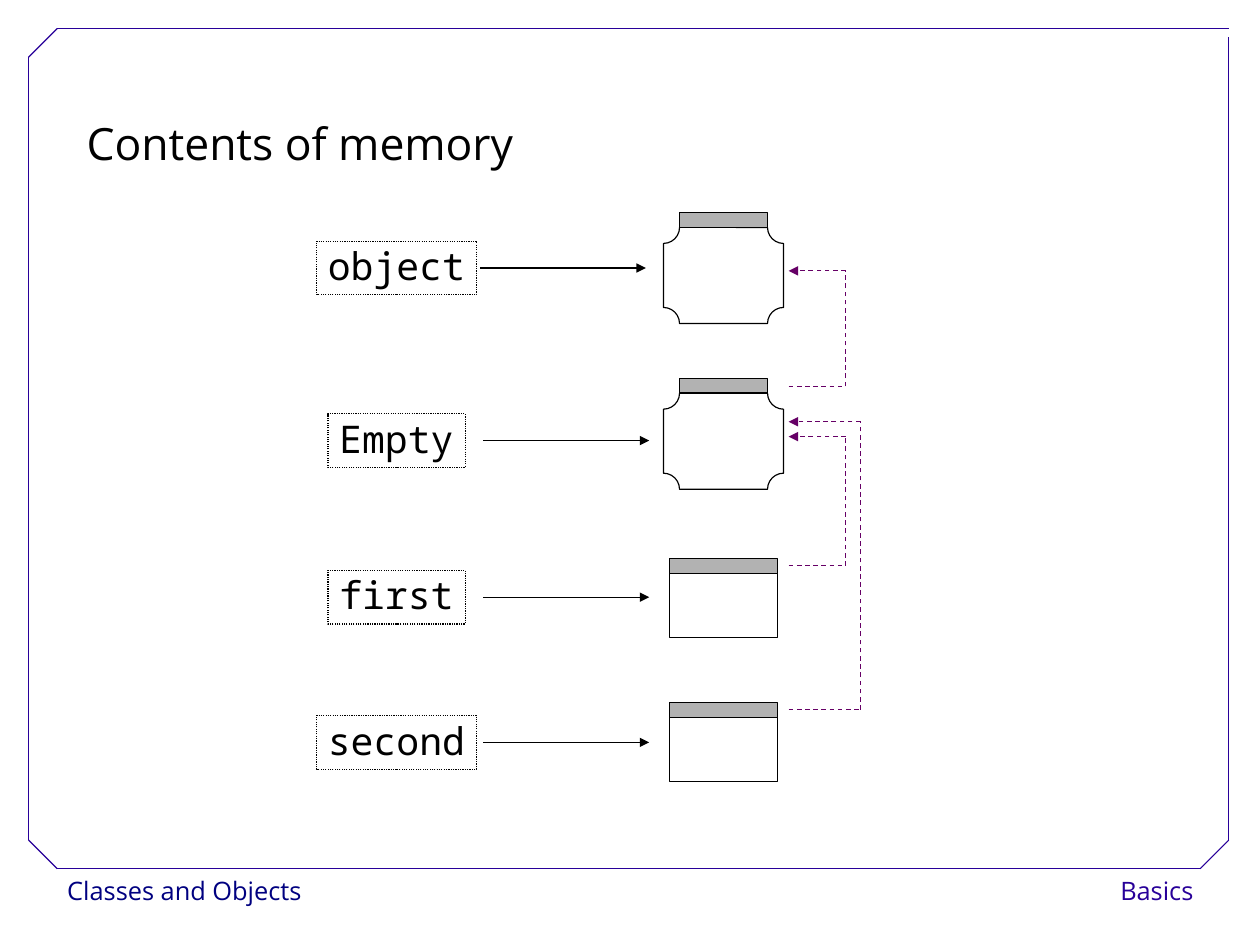
from itertools import pairwise

from lxml import etree
from pptx import Presentation
from pptx.dml.color import RGBColor
from pptx.enum.dml import MSO_LINE
from pptx.enum.shapes import MSO_CONNECTOR, MSO_SHAPE
from pptx.enum.text import MSO_ANCHOR, PP_ALIGN
from pptx.oxml.ns import qn
from pptx.util import Inches, Pt

STRAIGHT = MSO_CONNECTOR.STRAIGHT
RECT, PLAQUE = MSO_SHAPE.RECTANGLE, MSO_SHAPE.PLAQUE
DOT, DASH = MSO_LINE.ROUND_DOT, MSO_LINE.DASH
TOP, MIDDLE = MSO_ANCHOR.TOP, MSO_ANCHOR.MIDDLE
LEFT, RIGHT = PP_ALIGN.LEFT, PP_ALIGN.RIGHT
SANS, MONO = "Open Sans", "Noto Sans Mono"
COLORS = {"ink": "000000", "frame": "280099", "navy": "000080",
          "bar": "B2B2B2", "link": "660066"}


def color(name):
    """Return the named colour."""
    return RGBColor.from_string(COLORS[name])


def add_line(s, start, end, name, arrow=False, dash=None):
    """Draw a straight line, with an arrowhead at its end if asked."""
    c = s.shapes.add_connector(STRAIGHT, *map(Inches, start + end))
    c.line.color.rgb = color(name)
    c.line.width = Pt(0.75)
    if dash:
        c.line.dash_style = dash
    if arrow:
        ln = c.element.spPr.find(qn("a:ln"))
        etree.SubElement(ln, qn("a:tailEnd"), type="triangle")
    etree.SubElement(c.element.spPr, qn("a:effectLst"))


def add_box(s, kind, box, fill=None, dash=None):
    """Draw an outlined shape."""
    sp = s.shapes.add_shape(kind, *map(Inches, box))
    sp.shadow.inherit = False
    if fill:
        sp.fill.solid()
        sp.fill.fore_color.rgb = color(fill)
    else:
        sp.fill.background()
    sp.line.color.rgb = color("ink")
    sp.line.width = Pt(0.75)
    if dash:
        sp.line.dash_style = dash
    return sp


def write(sp, text, size, font, name, spacing, align=LEFT, anchor=TOP, wrap=False):
    """Put one line of text in a shape."""
    tf = sp.text_frame
    tf.word_wrap = wrap
    tf.vertical_anchor = anchor
    p = tf.paragraphs[0]
    p.alignment = align
    p.line_spacing = spacing
    r = p.add_run()
    r.text = text
    r.font.size = Pt(size)
    r.font.name = font
    r.font.color.rgb = color(name)


def add_frame(s, x, y, w, h):
    """Draw the frame with cut corners, open at the top right."""
    right, bottom, cut = x + w, y + h, 0.25
    corners = [(right, y), (x + cut, y), (x, y + cut), (x, bottom - cut),
               (x + cut, bottom), (right - cut, bottom),
               (right, bottom - cut), (right, y + 0.07)]
    for start, end in pairwise(corners):
        add_line(s, start, end, "frame")


def add_footer(s, x, y, w, h):
    """Write the chapter at the left and the section at the right."""
    for text, left, width, name, align in (
            ("Classes and Objects", x, 2.3, "navy", LEFT),
            ("Basics", x + w - 1.4, 1.4, "frame", RIGHT)):
        sp = s.shapes.add_textbox(*map(Inches, (left, y, width, h)))
        write(sp, text, 16, SANS, name, 1.02, align, MIDDLE)


def add_title(s, x, y, w, h):
    """Write the slide title."""
    sp = s.shapes.add_textbox(*map(Inches, (x, y, w, h)))
    write(sp, "Contents of memory", 28, SANS, "ink", 1.5, wrap=True)


def add_name(s, text, x, y, w, h, arrow_x):
    """Draw a dotted name box and its arrow to the memory block."""
    sp = add_box(s, RECT, (x, y, w, h), dash=DOT)
    write(sp, text, 24, MONO, "ink", 0.93)
    mid = y + h / 2
    add_line(s, (arrow_x, mid), (arrow_x + 1.45, mid), "ink", arrow=True)


def add_block(s, kind, x, y, w, h, inset):
    """Draw a memory block with a grey bar on top."""
    bar = 0.13
    add_box(s, kind, (x, y + bar, w, h - bar))
    add_box(s, RECT, (x + inset, y, w - 2 * inset, bar), fill="bar")


def add_link(s, x, y, w, h):
    """Draw a dashed link from the bottom left, round the right, to the top left."""
    points = [(x, y + h), (x + w, y + h), (x + w, y), (x, y)]
    for i, (start, end) in enumerate(pairwise(points)):
        add_line(s, start, end, "link", arrow=i == 2, dash=DASH)


def add_memory(s, x, y):
    """Draw the named memory blocks and the links between them."""
    rows = [("object", 1.4, 0.25, 1.43, PLAQUE, 0),
            ("Empty", 1.2, 1.76, 1.46, PLAQUE, 1.45),
            ("first", 1.2, 3.13, 1.46, RECT, 3.03),
            ("second", 1.4, 4.4, 1.46, RECT, 4.29)]
    for text, w, name_y, arrow_x, kind, block_y in rows:
        add_name(s, text, x + (1.4 - w) / 2, y + name_y, w, 0.47, x + arrow_x)
        width, height, inset = (1.05, 0.97, 0.14) if kind == PLAQUE else (0.94, 0.69, 0)
        add_block(s, kind, x + 3.56 - width / 2, y + block_y, width, height, inset)
    for top, w, h in ((0.51, 0.5, 1.01), (1.96, 0.5, 1.13), (1.83, 0.63, 2.52)):
        add_link(s, x + 4.13, y + top, w, h)


def main():
    """Build the slide and save it."""
    prs = Presentation()
    prs.slide_width, prs.slide_height = Inches(28 / 2.54), Inches(21 / 2.54)
    s = prs.slides.add_slide(prs.slide_layouts[6])
    add_footer(s, 0.49, 7.59, 10.05, 0.4)
    add_frame(s, 0.25, 0.25, 10.5, 7.35)
    add_title(s, 0.66, 0.73, 9.45, 0.8)
    add_memory(s, 2.77, 1.86)
    prs.save("out.pptx")


if __name__ == "__main__":
    main()
